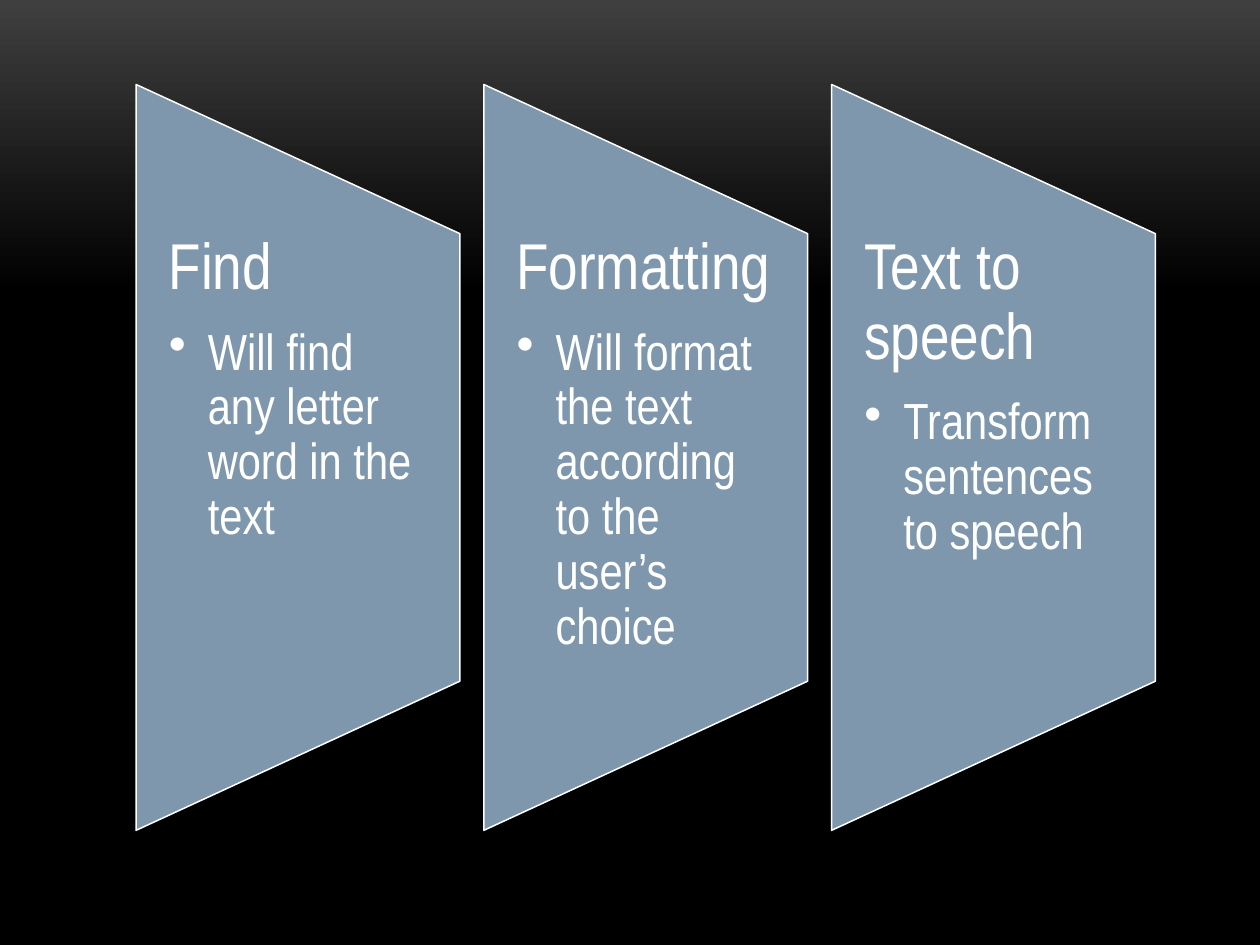
from dataclasses import dataclass

from lxml.etree import SubElement
from pptx import Presentation
from pptx.dml.color import RGBColor
from pptx.enum.shapes import MSO_SHAPE as Preset
from pptx.enum.text import MSO_ANCHOR as Anchor
from pptx.oxml.ns import qn
from pptx.util import Inches, Pt


@dataclass(frozen=True)
class Theme:
    font: str = "Arial Narrow"
    heading_size: int = 37
    detail_size: int = 29
    text: RGBColor = RGBColor(0xFF, 0xFF, 0xFF)
    panel: RGBColor = RGBColor(0x7E, 0x97, 0xAD)
    sky: RGBColor = RGBColor(0x3F, 0x3F, 0x3F)
    ground: RGBColor = RGBColor(0, 0, 0)


THEME = Theme()
FEATURES = [
    ("Find", "Will find any letter word in the text"),
    ("Formatting", "Will format the text according to the user’s choice"),
    ("Text to speech", "Transform sentences to speech"),
]


def paint_background(slide):
    fill = slide.background.fill
    fill.gradient()
    fill.gradient_angle = 270
    top, lower = fill.gradient_stops
    top.color.rgb, top.position = THEME.sky, 0
    lower.color.rgb, lower.position = THEME.ground, 0.31


def write_line(paragraph, wording, size, space_after):
    paragraph.line_spacing = 0.9
    paragraph.space_after = Pt(space_after)
    run = paragraph.add_run()
    run.text = wording
    run.font.name = THEME.font
    run.font.size = Pt(size)
    run.font.color.rgb = THEME.text


def add_bullet(paragraph):
    paragraph.level = 1
    properties = paragraph._p.get_or_add_pPr()
    properties.set("marL", str(Inches(0.31)))
    properties.set("indent", str(-Inches(0.31)))
    SubElement(properties, qn("a:buChar"), char="•")


def add_feature(shapes, left, top, width, height, heading, detail):
    panel = shapes.add_shape(
        Preset.FLOWCHART_MANUAL_OPERATION,
        left + (width - height) // 2,
        top + (height - width) // 2,
        height,
        width,
    )
    panel.rotation = 270
    panel.shadow.inherit = False
    panel.fill.solid()
    panel.fill.fore_color.rgb = THEME.panel
    panel.line.color.rgb = THEME.text
    panel.line.width = Pt(0.85)

    caption = shapes.add_textbox(left, top + height // 5, width, height * 3 // 5)
    frame = caption.text_frame
    frame.word_wrap = True
    frame.vertical_anchor = Anchor.TOP
    frame.margin_left = frame.margin_right = Inches(0.26)
    frame.margin_top = frame.margin_bottom = 0
    write_line(frame.paragraphs[0], heading, THEME.heading_size, 13)
    bullet = frame.add_paragraph()
    write_line(bullet, detail, THEME.detail_size, 4)
    add_bullet(bullet)


def add_feature_row(slide, left, top, width, height):
    panel_width = Inches(2.57)
    pitch = (width - panel_width) // (len(FEATURES) - 1)
    row = slide.shapes.add_group_shape()
    for index, (heading, detail) in enumerate(FEATURES):
        add_feature(
            row.shapes, left + index * pitch, top, panel_width, height, heading, detail
        )


def main():
    deck = Presentation()
    deck.slide_width, deck.slide_height = Inches(10), Inches(7.5)
    slide = deck.slides.add_slide(deck.slide_layouts[6])
    paint_background(slide)
    add_feature_row(slide, Inches(1.08), Inches(0.67), Inches(8.09), Inches(5.92))
    deck.save("out.pptx")


if __name__ == "__main__":
    main()
